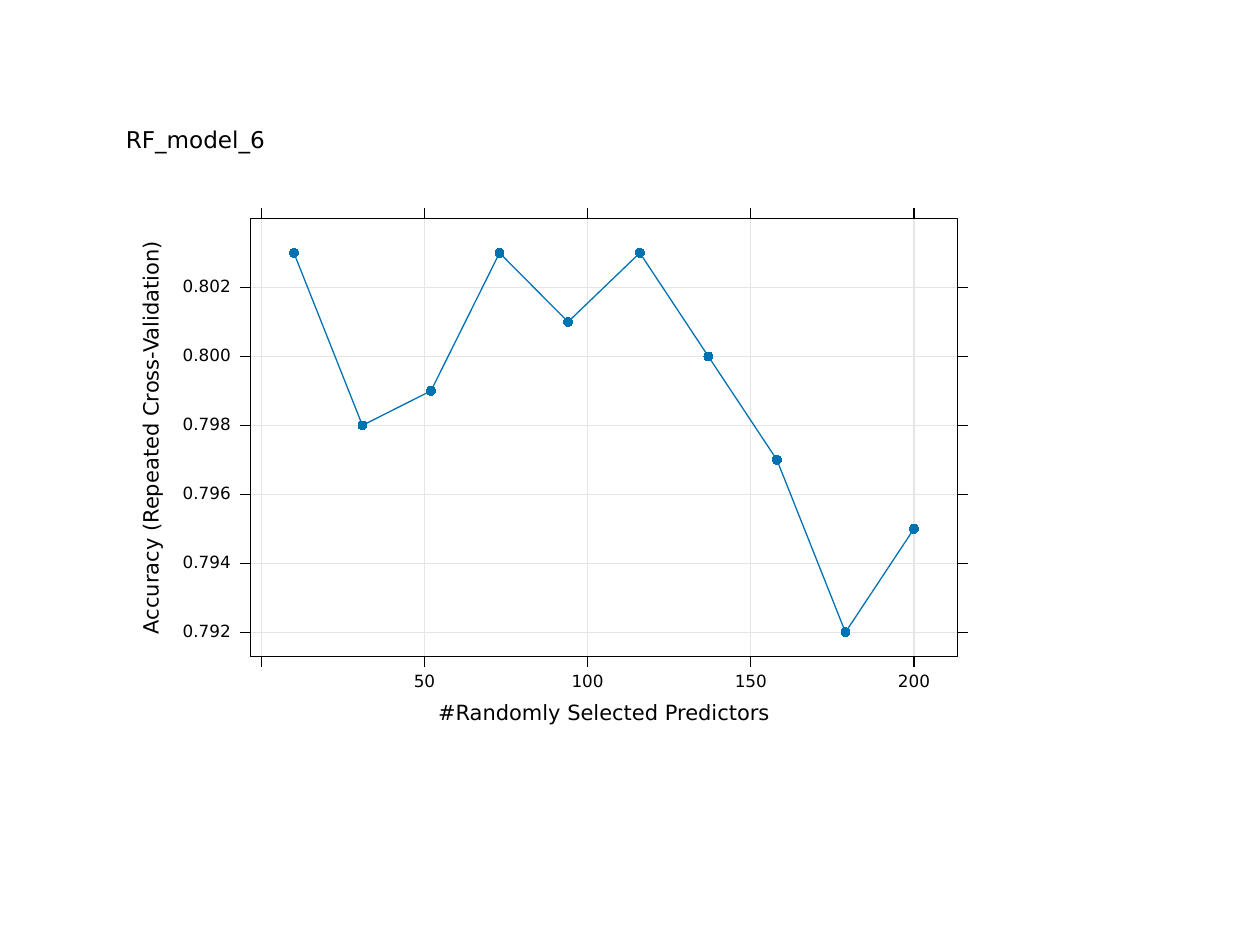
from dataclasses import dataclass

from lxml.etree import SubElement as Sub
from pptx import Presentation
from pptx.chart.data import XyChartData
from pptx.dml.color import RGBColor as Rgb
from pptx.enum.chart import XL_CHART_TYPE as Kind, XL_MARKER_STYLE as Mark
from pptx.enum.shapes import MSO_CONNECTOR as Conn, MSO_SHAPE as Shape
from pptx.enum.text import MSO_ANCHOR as Anchor, PP_ALIGN as Align
from pptx.oxml import parse_xml
from pptx.oxml.ns import nsdecls, qn
from pptx.util import Inches, Pt


@dataclass(frozen=True)
class Theme:
    font: str = "DejaVu Sans"
    ink: Rgb = Rgb(0x00, 0x00, 0x00)
    paper: Rgb = Rgb(0xFF, 0xFF, 0xFF)
    grid: Rgb = Rgb(0xE5, 0xE5, 0xE5)
    blue: Rgb = Rgb(0x00, 0x72, 0xB2)
    title: float = 13.2
    label: float = 12
    tick: float = 9.6
    line: float = 0.75
    dot: int = 5


THEME = Theme()

# Slide grid: 100 columns by 75 rows, each cell a tenth of an inch
COLS, ROWS = 100, 75
LEFT, TOP, WIDE, HIGH = 19.88, 17.34, 56.11, 34.77
RIGHT, BASE = LEFT + WIDE, TOP + HIGH
TICK = 0.8

# Model results: predictors tried and accuracy reached
TRIED = (10, 31, 52, 73, 94, 116, 137, 158, 179, 200)
SCORE = (0.803, 0.798, 0.799, 0.803, 0.801,
         0.803, 0.800, 0.797, 0.792, 0.795)
X_SPAN = (-3.3, 213.3)
Y_SPAN = (0.7913, 0.804)
X_TICKS = range(0, 201, 50)
Y_TICKS = [n / 1000 for n in range(792, 803, 2)]


def cell(n):
    return Inches(n / 10)


def share(val, span):
    low, high = span
    return (val - low) / (high - low)


def add_line(slide, x1, y1, x2, y2, color):
    line = slide.shapes.add_connector(Conn.STRAIGHT, *map(cell, (x1, y1, x2, y2)))
    line.line.color.rgb = color
    line.line.width = Pt(THEME.line)
    Sub(line._element.spPr, qn("a:effectLst"))


def add_text(slide, text, x, y, wide, high, size, turn=0):
    """Text centred on column x and row y."""
    box = slide.shapes.add_textbox(
        *map(cell, (x - wide / 2, y - high / 2, wide, high)))
    box.rotation = turn
    frame = box.text_frame
    frame.word_wrap = False
    frame.vertical_anchor = Anchor.MIDDLE
    frame.margin_left = frame.margin_right = 0
    frame.margin_top = frame.margin_bottom = 0
    para = frame.paragraphs[0]
    para.text = text
    para.alignment = Align.CENTER
    para.line_spacing = Pt(size)
    para.font.name = THEME.font
    para.font.size = Pt(size)
    para.font.color.rgb = THEME.ink


def add_grid(slide):
    for val in X_TICKS:
        x = LEFT + WIDE * share(val, X_SPAN)
        add_line(slide, x, TOP, x, BASE, THEME.grid)
        add_line(slide, x, TOP - TICK, x, TOP, THEME.ink)
        add_line(slide, x, BASE, x, BASE + TICK, THEME.ink)
        if val:
            add_text(slide, str(val), x, 54.2, 3, 1, THEME.tick)
    for val in Y_TICKS:
        y = BASE - HIGH * share(val, Y_SPAN)
        add_line(slide, LEFT, y, RIGHT, y, THEME.grid)
        add_line(slide, LEFT - TICK, y, LEFT, y, THEME.ink)
        add_line(slide, RIGHT, y, RIGHT + TICK, y, THEME.ink)
        add_text(slide, f"{val:.3f}", 16.4, y, 4.2, 1, THEME.tick)


def fill_panel(chart):
    """Let the plot cover the whole chart, with no fill behind it."""
    space = chart._chartSpace
    plot = space.chart.plotArea
    for old in plot.findall(qn("c:layout")):
        plot.remove(old)
    layout = Sub(plot, qn("c:layout"))
    plot.insert(0, layout)
    manual = Sub(layout, qn("c:manualLayout"))
    for tag, val in (("layoutTarget", "inner"), ("xMode", "edge"),
                     ("yMode", "edge"), ("x", "0"), ("y", "0"),
                     ("w", "1"), ("h", "1")):
        Sub(manual, qn(f"c:{tag}")).set("val", val)
    clear = (f'<c:spPr {nsdecls("c", "a")}><a:noFill/>'
             '<a:ln><a:noFill/></a:ln></c:spPr>')
    plot.append(parse_xml(clear))
    space.chart.addnext(parse_xml(clear))


def add_curve(slide):
    data = XyChartData(number_format="0.000")
    points = data.add_series("Accuracy")
    for pair in zip(TRIED, SCORE):
        points.add_data_point(*pair)
    chart = slide.shapes.add_chart(
        Kind.XY_SCATTER_LINES, *map(cell, (LEFT, TOP, WIDE, HIGH)), data).chart
    chart.has_title = chart.has_legend = False
    chart.font.name = THEME.font
    chart.font.size = Pt(THEME.tick)
    chart.font.color.rgb = THEME.ink
    chart.plots[0].vary_by_categories = False
    for axis, span in ((chart.category_axis, X_SPAN), (chart.value_axis, Y_SPAN)):
        axis.minimum_scale, axis.maximum_scale = span
        axis.has_major_gridlines = False
        axis.visible = False
    curve = chart.plots[0].series[0]
    curve.smooth = False
    curve.marker.style = Mark.CIRCLE
    curve.marker.size = THEME.dot
    curve.marker.format.fill.solid()
    curve.marker.format.fill.fore_color.rgb = THEME.paper
    for line in (curve.format.line, curve.marker.format.line):
        line.color.rgb = THEME.blue
        line.width = Pt(THEME.line)
    fill_panel(chart)


def add_frame(slide):
    frame = slide.shapes.add_shape(
        Shape.RECTANGLE, *map(cell, (LEFT, TOP, WIDE, HIGH)))
    frame.shadow.inherit = False
    frame.fill.background()
    frame.line.color.rgb = THEME.ink
    frame.line.width = Pt(THEME.line)


def main():
    deck = Presentation()
    deck.slide_width, deck.slide_height = cell(COLS), cell(ROWS)
    slide = deck.slides.add_slide(deck.slide_layouts[6])

    # Plot: grid and ticks, then the curve, then the border
    add_grid(slide)
    add_curve(slide)
    add_frame(slide)

    # Title and axis names
    add_text(slide, "RF_model_6", 15.5, 11.2, 11.6, 1.8, THEME.title)
    add_text(slide, "#Randomly Selected Predictors",
             LEFT + WIDE / 2, 56.7, 26.8, 1.6, THEME.label)
    add_text(slide, "Accuracy (Repeated Cross-Validation)",
             12.1, TOP + HIGH / 2, 32, 1.6, THEME.label, 270)

    deck.save("out.pptx")


if __name__ == "__main__":
    main()
